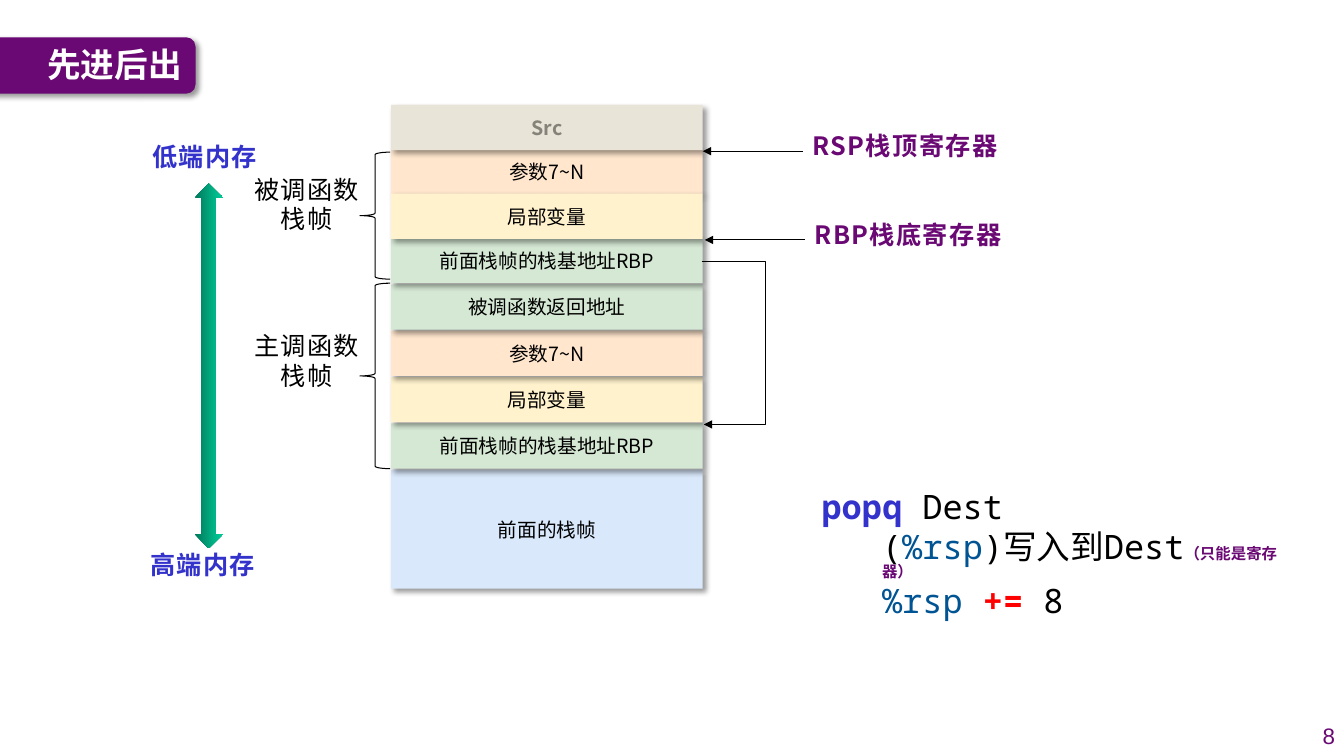
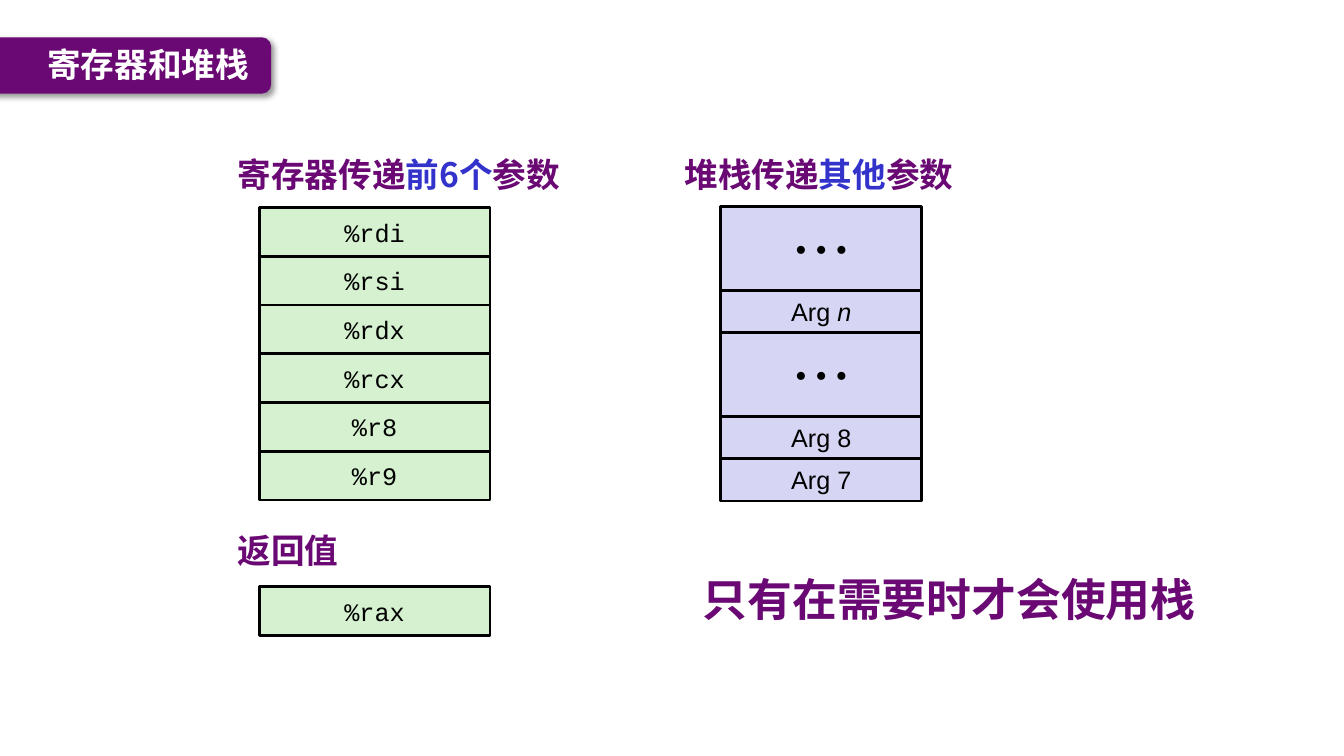
from dataclasses import dataclass
from itertools import accumulate

from lxml.etree import SubElement
from pptx import Presentation
from pptx.dml.color import RGBColor
from pptx.enum.shapes import MSO_CONNECTOR, MSO_SHAPE
from pptx.enum.text import MSO_ANCHOR, PP_ALIGN
from pptx.oxml.ns import qn
from pptx.util import Inches, Pt


@dataclass(frozen=True)
class Theme:
    # Colours
    purple: str = "6A0874"
    blue: str = "3333CC"
    register: str = "005493"
    red: str = "FF0000"
    black: str = "000000"
    white: str = "FFFFFF"
    src_fill: str = "E8E4D8"
    src_text: str = "85827A"
    orange: str = "FFE6CD"
    yellow: str = "FFF2CD"
    green: str = "D5E8D4"
    sky: str = "D9E8FB"
    mint: str = "D5F1CF"
    lilac: str = "D6D6F4"
    arrow_dark: str = "00795B"
    arrow_light: str = "00CC99"
    # Fonts
    cjk: str = "Noto Sans CJK SC"
    mono: str = "Noto Sans Mono"
    courier: str = "Courier New"
    arial: str = "Arial"
    times: str = "Times New Roman"
    # Type sizes
    banner: int = 32
    title: int = 24
    label: int = 18
    number: int = 16
    row: int = 14
    note: int = 11
    # Line spacing
    tight: float = 0.82
    loose: float = 1.05


T = Theme()


def rgb(value):
    return RGBColor.from_string(value)


class Deck:
    def __init__(self, prs):
        self.prs = prs
        self.s = None

    def slide(self, title, title_width, number=None):
        """Start a slide with its title band and optional number."""
        self.s = self.prs.slides.add_slide(self.prs.slide_layouts[6])
        left, bleed = 0.37, 0.2
        self.shape(MSO_SHAPE.ROUNDED_RECTANGLE, -bleed, 0.37,
                   bleed + left + title_width, 0.56, T.purple, shadow=True)
        self.text(left, 0.36, title_width, 0.55, [title], size=T.title,
                  color=T.white, bold=True, anchor=MSO_ANCHOR.MIDDLE)
        if number:
            self.text(12.79, 7.1, 0.55, 0.4, [number], size=T.number,
                      color=T.purple, font=T.arial, align=PP_ALIGN.RIGHT,
                      anchor=MSO_ANCHOR.MIDDLE)

    def fill_text(self, tf, paragraphs, size, color=T.black, font=T.cjk,
                  bold=False, align=PP_ALIGN.LEFT, anchor=MSO_ANCHOR.TOP,
                  spacing=None, tracking=0, indent=0):
        """A paragraph is a string or a list of (text, run style) pairs."""
        tf.word_wrap = True
        tf.vertical_anchor = anchor
        for i, content in enumerate(paragraphs):
            p = tf.add_paragraph() if i else tf.paragraphs[0]
            p.alignment = align
            p.line_spacing = spacing
            pPr = p._p.get_or_add_pPr()
            if i:
                p.space_before = Pt(size * 0.2)
                if indent:
                    p.level = 1
                    pPr.set("marL", str(Inches(indent)))
                    pPr.set("indent", "0")
            f = p.font
            f.name, f.size, f.bold = font, Pt(size), bold
            f.color.rgb = rgb(color)
            defaults = pPr.get_or_add_defRPr()
            SubElement(defaults, qn("a:ea"), typeface=T.cjk)
            if tracking:
                defaults.set("spc", str(tracking * 100))
            runs = [(content, {})] if isinstance(content, str) else content
            for text, style in runs:
                r = p.add_run()
                r.text = text
                if "color" in style:
                    r.font.color.rgb = rgb(style["color"])
                if "size" in style:
                    r.font.size = Pt(style["size"])
                if "bold" in style:
                    r.font.bold = style["bold"]
                if "italic" in style:
                    r.font.italic = style["italic"]

    def text(self, x, y, w, h, paragraphs, **style):
        sp = self.s.shapes.add_textbox(
            Inches(x), Inches(y), Inches(w), Inches(h))
        self.fill_text(sp.text_frame, paragraphs, **style)
        return sp

    def label(self, x, y, w, h, paragraphs, **style):
        return self.text(x, y, w, h, paragraphs, size=T.label,
                         spacing=T.tight, tracking=1, **style)

    def heading(self, x, y, w, h, runs, size=T.title):
        return self.text(x, y, w, h, [runs], size=size, color=T.purple,
                         bold=True, spacing=T.loose)

    def shape(self, kind, x, y, w, h, fill=None, line=None, shadow=False):
        sp = self.s.shapes.add_shape(
            kind, Inches(x), Inches(y), Inches(w), Inches(h))
        if fill:
            sp.fill.solid()
            sp.fill.fore_color.rgb = rgb(fill)
        else:
            sp.fill.background()
        if line:
            sp.line.color.rgb = rgb(T.black)
            sp.line.width = Pt(line)
        else:
            sp.line.fill.background()
        sp.shadow.inherit = False
        if shadow:
            effects = sp._element.spPr.find(qn("a:effectLst"))
            outer = SubElement(effects, qn("a:outerShdw"),
                               blurRad=str(Pt(4)), dist=str(Pt(3)),
                               dir="2700000", algn="tl", rotWithShape="0")
            color = SubElement(outer, qn("a:srgbClr"), val=T.black)
            SubElement(color, qn("a:alpha"), val="40000")
        return sp

    def cell(self, x, y, w, h, content, fill, line=None, shadow=False,
             **style):
        sp = self.shape(MSO_SHAPE.RECTANGLE, x, y, w, h, fill, line, shadow)
        tf = sp.text_frame
        tf.margin_left = tf.margin_right = Inches(0.04)
        tf.margin_top = tf.margin_bottom = Inches(0.04)
        self.fill_text(tf, [content], align=PP_ALIGN.CENTER,
                       anchor=MSO_ANCHOR.MIDDLE, **style)

    def arrow(self, x1, y1, x2, y2, source=None, bend_x=None):
        """Arrow from a box's left side, or an elbow turning at bend_x."""
        kind = MSO_CONNECTOR.ELBOW if bend_x else MSO_CONNECTOR.STRAIGHT
        c = self.s.shapes.add_connector(
            kind, Inches(x1), Inches(y1), Inches(x2), Inches(y2))
        if source is not None:
            c.begin_connect(source, 1)
        c.line.color.rgb = rgb(T.black)
        c.line.width = Pt(0.75)
        SubElement(c.line._get_or_add_ln(), qn("a:tailEnd"), type="triangle")
        spPr = c._element.spPr
        SubElement(spPr, qn("a:effectLst"))
        if bend_x:
            ratio = round((bend_x - x1) / (x2 - x1) * 100000)
            guides = spPr.find(qn("a:prstGeom")).get_or_add_avLst()
            SubElement(guides, qn("a:gd"), name="adj1", fmla=f"val {ratio}")

    def range_arrow(self, x, y, w, h):
        sp = self.shape(MSO_SHAPE.UP_DOWN_ARROW, x, y, w, h)
        sp.fill.gradient()
        sp.fill.gradient_angle = 0
        for stop, color in zip(sp.fill.gradient_stops,
                               (T.arrow_dark, T.arrow_light)):
            stop.color.rgb = rgb(color)


def stack_slide(deck):
    deck.slide("先进后出", 1.57, "8")

    # Stack rows, from the oldest frame up
    callee_y = [1.04 + 0.44 * i for i in range(3)]
    caller_y = [2.36 + 0.46 * i for i in range(6)]
    args, local = "参数7~N", "局部变量"
    base = "前面栈帧的栈基地址RBP"
    rows = [
        (caller_y[5], 1.18, "前面的栈帧", T.sky),
        (caller_y[4], 0.45, base, T.green),
        (caller_y[3], 0.45, local, T.yellow),
        (caller_y[2], 0.45, args, T.orange),
        (callee_y[1], 0.45, args, T.orange),
        (caller_y[1], 0.45, "被调函数返回地址", T.green),
        (caller_y[0], 0.45, base, T.green),
        (callee_y[2], 0.45, local, T.yellow),
    ]
    for y, h, name, fill in rows:
        deck.cell(3.88, y, 3.09, h, name, fill, shadow=True, size=T.row)
    deck.cell(3.88, callee_y[0], 3.09, 0.45, "Src", T.src_fill, shadow=True,
              size=T.row, color=T.src_text, bold=True)

    # Saved base address and frame braces
    deck.arrow(6.96, 2.59, 6.98, 4.21, bend_x=7.59)
    for y, h, label_y, owner in ((1.51, 1.26, 1.73, "被调函数"),
                                 (2.81, 1.84, 3.28, "主调函数")):
        deck.shape(MSO_SHAPE.LEFT_BRACE, 3.57, y, 0.3, h, line=0.75)
        deck.label(2.39, label_y, 1.3, 0.77, [owner, "栈帧"],
                   align=PP_ALIGN.CENTER)

    # Register pointers
    for x, y, name in ((7.98, 2.18, "RBP栈底寄存器"),
                       (7.96, 1.3, "RSP栈顶寄存器")):
        sp = deck.label(x, y, 2.07, 0.4, [name], color=T.purple, bold=True)
        deck.arrow(x, y + 0.2, x - 0.99, y + 0.2, source=sp)

    # Memory range
    for x, y, name in ((1.41, 1.41, "低端内存"), (1.39, 5.45, "高端内存")):
        deck.label(x, y, 1.27, 0.4, [name], color=T.blue, bold=True)
    deck.range_arrow(1.93, 1.82, 0.28, 3.62)

    # Instruction
    register = {"color": T.register}
    deck.text(8.05, 4.84, 4.88, 1.47, [
        [("popq ", {"color": T.blue, "bold": True}), ("Dest", {})],
        [("(", {}), ("%rsp", register), (")写入到Dest", {}),
         ("（只能是寄存器）",
          {"color": T.purple, "bold": True, "size": T.note})],
        [("%rsp ", register), ("+= ", {"color": T.red, "bold": True}),
         ("8", {})],
    ], size=T.title, font=T.mono, spacing=T.tight, indent=0.6)


def register_slide(deck):
    deck.slide("寄存器和堆栈", 2.32)
    accent = {"color": T.blue}

    # Headings
    deck.heading(2.26, 1.46, 4.42, 0.7, [
        ("寄存器传递", {}), ("前6个", accent), ("参数", {})])
    deck.heading(6.69, 1.46, 4.42, 0.7, [
        ("堆栈传递", {}), ("其他", accent), ("参数", {})])
    deck.heading(2.26, 5.19, 4.42, 0.7, "返回值")
    deck.heading(6.87, 5.6, 5.76, 0.97, "只有在需要时才会使用栈", T.banner)

    # Registers
    names = ["%rdi", "%rsi", "%rdx", "%rcx", "%r8", "%r9"]
    pitch = 2.9 / len(names)
    cells = [(2.06 + i * pitch, name) for i, name in enumerate(names)]
    for y, name in cells + [(5.82, "%rax")]:
        deck.cell(2.57, y, 2.29, pitch, name, T.mint, line=2,
                  size=T.label, font=T.courier)

    # Stack arguments
    gap = ("• • •", 0.83, T.title, T.times)
    arg_n = [("Arg ", {}), ("n", {"italic": True})]
    args = [gap, (arg_n, 0.42, T.label, T.arial), gap,
            ("Arg 8", 0.42, T.label, T.arial),
            ("Arg 7", 0.42, T.label, T.arial)]
    tops = accumulate((h for _, h, _, _ in args), initial=2.05)
    for y, (content, h, size, font) in zip(tops, args):
        deck.cell(7.15, y, 1.99, h, content, T.lilac, line=2,
                  size=size, font=font)


def main():
    prs = Presentation()
    prs.slide_width, prs.slide_height = Inches(13.33), Inches(7.5)
    deck = Deck(prs)
    stack_slide(deck)
    register_slide(deck)
    prs.save("out.pptx")


if __name__ == "__main__":
    main()
